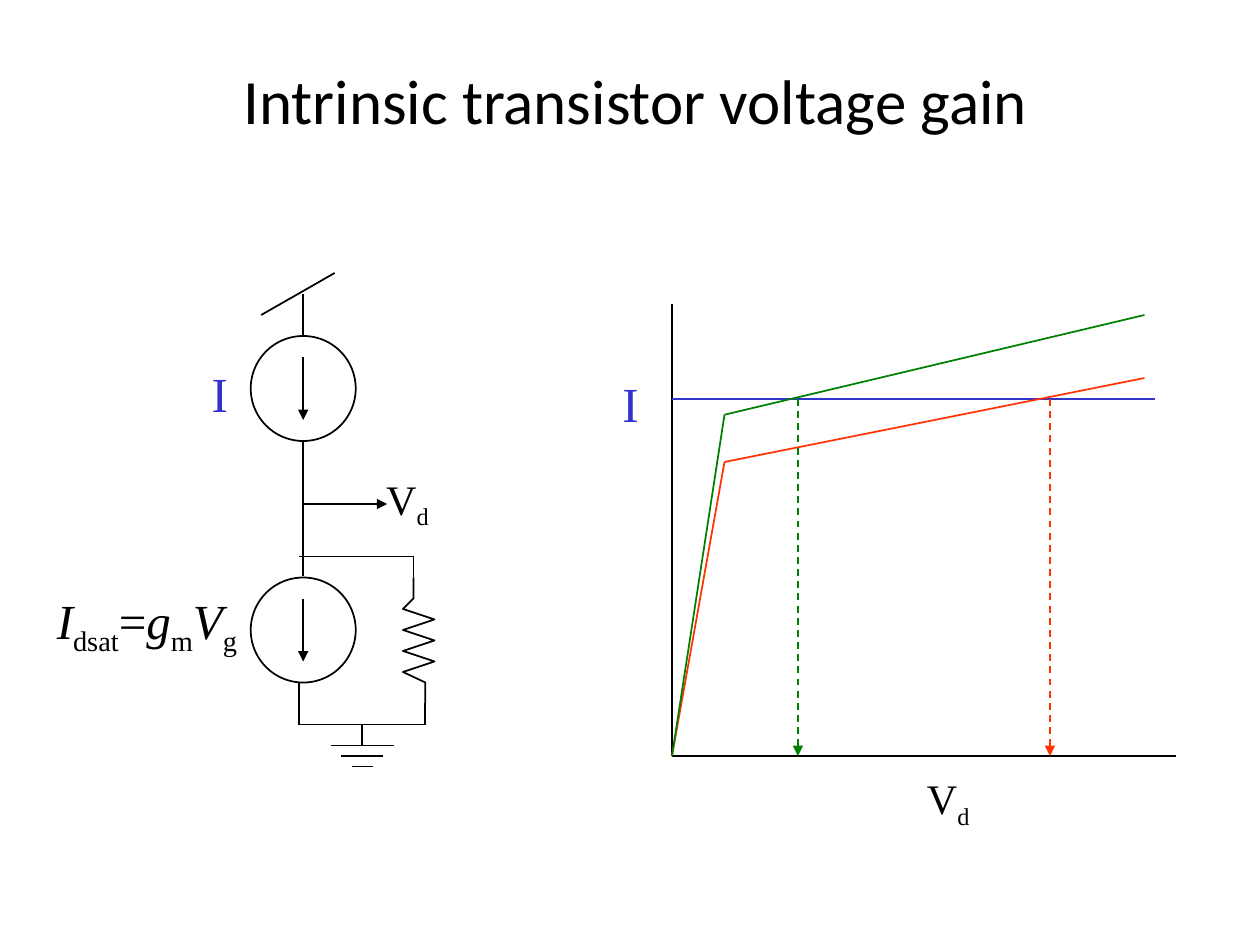
from pptx import Presentation
from pptx.dml.color import RGBColor
from pptx.enum.dml import MSO_LINE
from pptx.enum.shapes import MSO_CONNECTOR, MSO_SHAPE
from pptx.enum.text import MSO_ANCHOR, MSO_AUTO_SIZE, PP_ALIGN
from pptx.oxml.ns import qn
from pptx.util import Emu, Pt
from lxml.etree import SubElement

SCALE = 9525
BLACK, BLUE, RED, GREEN = "000000", "3333CC", "FF3300", "008000"
SERIF = "Times New Roman"


def px(length):
    """Turn pixels into EMU."""
    return Emu(length * SCALE)


def rgb(value):
    """Turn a hex string into a colour."""
    return RGBColor.from_string(value)


def place(origin, point):
    """Return a point, given relative to an origin, in EMU."""
    return px(origin[0] + point[0]), px(origin[1] + point[1])


def add_line(slide, origin, start, end, color=BLACK, arrow=False, dashed=False):
    """Draw a thin straight line, optionally dashed or with an arrowhead."""
    line = slide.shapes.add_connector(
        MSO_CONNECTOR.STRAIGHT, *place(origin, start), *place(origin, end))
    line.line.width = Pt(1)
    line.line.color.rgb = rgb(color)
    if dashed:
        line.line.dash_style = MSO_LINE.DASH
    if arrow:
        SubElement(line.line._get_or_add_ln(), qn("a:tailEnd"), type="triangle")
    SubElement(line._element.spPr, qn("a:effectLst"))


def add_path(slide, origin, points, color=BLACK):
    """Draw an open line through the points."""
    first, *rest = [place(origin, point) for point in points]
    builder = slide.shapes.build_freeform(*first)
    builder.add_line_segments(rest, close=False)
    outline = builder.convert_to_shape()
    outline.shadow.inherit = False
    outline.fill.background()
    outline.line.width = Pt(1)
    outline.line.color.rgb = rgb(color)


def add_text(slide, origin, box, runs, size, color=BLACK, font=SERIF,
             align=PP_ALIGN.CENTER, wrap=False):
    """Write runs, each a text with an optional style: i italic, s subscript."""
    left, top, width, height = box
    text_box = slide.shapes.add_textbox(
        *place(origin, (left, top)), px(width), px(height))
    frame = text_box.text_frame
    frame.word_wrap = wrap
    frame.auto_size = MSO_AUTO_SIZE.SHAPE_TO_FIT_TEXT
    paragraph = frame.paragraphs[0]
    paragraph.alignment = align
    for text, style in runs:
        run = paragraph.add_run()
        run.text = text
        run.font.name = font
        run.font.size = Pt(size)
        run.font.color.rgb = rgb(color)
        run.font.italic = style == "i"
        if style == "s":
            run._r.get_or_add_rPr().set("baseline", "-25000")
    return frame


def add_current_label(slide, origin, left, top):
    """Write the bias current symbol."""
    add_text(slide, origin, (left, top, 32, 55), [("I", "")], 28, BLUE,
             align=PP_ALIGN.RIGHT)


def add_drain_label(slide, origin, left, top):
    """Write the drain voltage symbol."""
    add_text(slide, origin, (left, top, 53, 48), [("V", ""), ("d", "s")], 24)


def add_current_source(slide, left, top, size=80):
    """Draw a circle holding a downward arrow."""
    circle = slide.shapes.add_shape(
        MSO_SHAPE.OVAL, px(left), px(top), px(size), px(size))
    circle.shadow.inherit = False
    circle.fill.background()
    circle.line.width = Pt(1)
    circle.line.color.rgb = rgb(BLACK)
    middle = size // 2
    add_line(slide, (left, top), (middle, 16), (middle, size - 16), arrow=True)


def add_ground(slide, left, top):
    """Draw a ground symbol whose stem starts at the given point."""
    origin = (left, top)
    add_line(slide, origin, (0, 0), (0, 16))
    for step, half in enumerate((24, 16, 8)):
        y = 16 + 8 * step
        add_line(slide, origin, (-half, y), (half, y))


def add_title(slide, left, top, width, height):
    """Write the centred slide title."""
    frame = add_text(slide, (left, top), (0, 0, width, height),
                     [("Intrinsic transistor voltage gain", "")], 36,
                     font="Calibri", wrap=True)
    frame.auto_size = MSO_AUTO_SIZE.NONE
    frame.vertical_anchor = MSO_ANCHOR.MIDDLE


def add_circuit(slide, left, top):
    """Draw the loaded transistor model from supply to ground."""
    origin = (left, top)
    wires = [
        ((40, 48), (40, 16)), ((8, 32), (64, 0)), ((40, 128), (40, 231)),
        ((37, 344), (37, 312)), ((37, 344), (133, 344)),
        ((133, 344), (133, 328)), ((37, 216), (124, 216)),
        ((124, 232), (124, 216)),
    ]
    for start, end in wires:
        add_line(slide, origin, start, end)
    add_line(slide, origin, (40, 176), (104, 176), arrow=True)
    for source_top in (48, 232):
        add_current_source(slide, left, top + source_top)
    zigzag = [(140 if i % 2 else 116, 256 + 8 * i) for i in range(7)]
    add_path(slide, origin,
             [(124, 232), (124, 248), *zigzag, (133, 312), (133, 328)])
    add_ground(slide, left + 85, top + 344)
    add_current_label(slide, origin, -40, 64)
    add_drain_label(slide, origin, 93, 148)
    add_text(slide, origin, (-184, 237, 183, 55),
             [("I", "i"), ("dsat", "s"), ("=", ""), ("g", "i"), ("m", "s"),
              ("V", "i"), ("g", "s")], 28, align=PP_ALIGN.RIGHT, wrap=True)


def add_graph(slide, left, top, width, height):
    """Draw the load line, the two drain curves and their crossings."""
    origin = (left, top)
    load = 72
    add_line(slide, origin, (0, 0), (0, height))
    add_line(slide, origin, (0, height), (width, height))
    add_line(slide, origin, (0, load), (width - 16, load), BLUE)
    curves = [(RED, 120, 56, 288), (GREEN, 84, 8, 96)]
    for color, knee, end, crossing in curves:
        add_line(slide, origin, (0, height), (40, knee), color)
        add_line(slide, origin, (40, knee), (360, end), color)
        add_line(slide, origin, (crossing, load), (crossing, height), color,
                 arrow=True, dashed=True)
    add_current_label(slide, origin, -48, 48)
    add_drain_label(slide, origin, 184, height + 8)


def main():
    """Build and save the slide."""
    deck = Presentation()
    deck.slide_width, deck.slide_height = px(960), px(720)
    slide = deck.slides.add_slide(deck.slide_layouts[6])
    add_title(slide, 16, 16, 936, 120)
    add_circuit(slide, 191, 208)
    add_graph(slide, 512, 232, 384, 344)
    deck.save("out.pptx")


if __name__ == "__main__":
    main()
